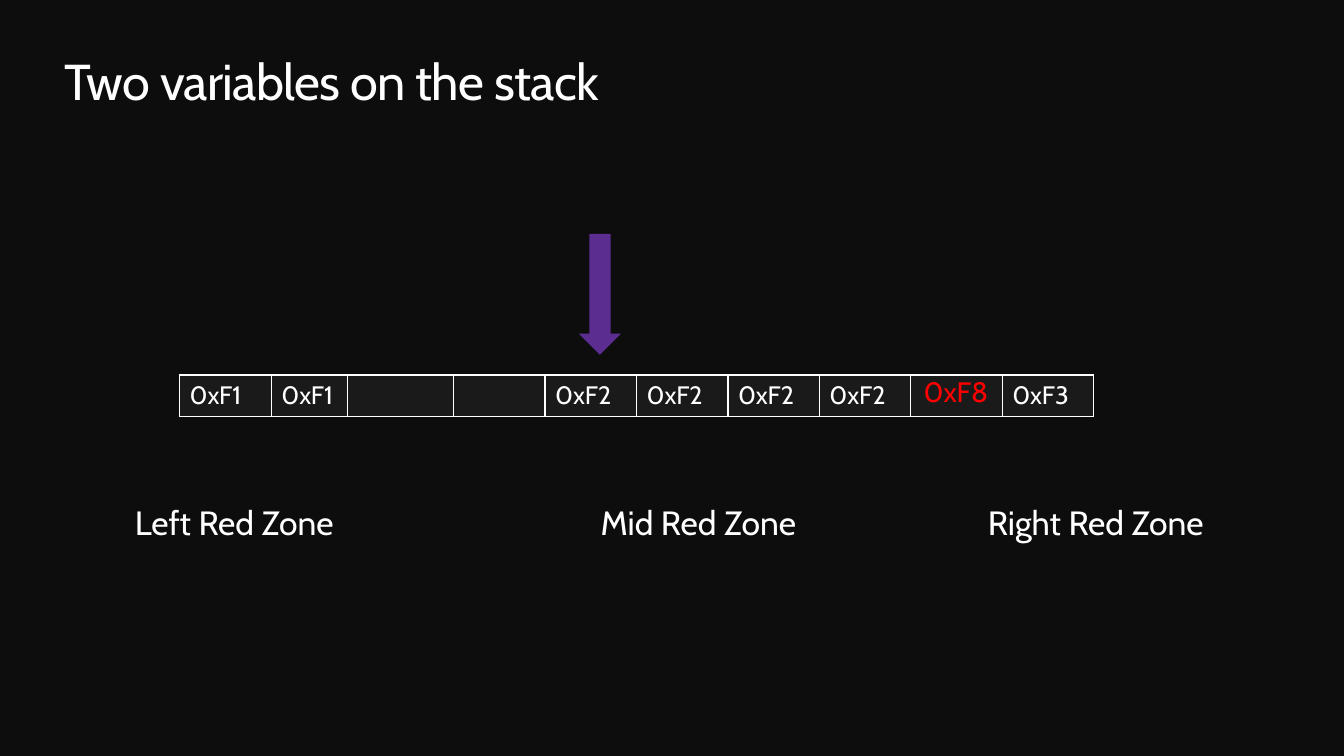
from dataclasses import dataclass

from lxml.etree import SubElement
from pptx import Presentation
from pptx.dml.color import RGBColor as Color
from pptx.enum.shapes import MSO_SHAPE as Preset
from pptx.enum.text import MSO_AUTO_SIZE as AutoSize
from pptx.oxml.ns import qn
from pptx.util import Inches, Pt


@dataclass(frozen=True)
class Theme:
    font: str = "Cabin"
    background: str = "0D0D0D"
    cell: str = "1A1A1A"
    text: str = "FFFFFF"
    alert: str = "FF0000"
    arrow: str = "5C2D91"
    title_size: int = 36
    label_size: int = 24
    alert_size: int = 20
    cell_size: int = 18


def paint(fill, color):
    fill.solid()
    fill.fore_color.rgb = Color.from_string(color)


def write(frame, text, *, font, size, color, spacing=None):
    span = frame.paragraphs[0].add_run()
    span.text = text
    span.font.name = font
    span.font.size = Pt(size)
    span.font.color.rgb = Color.from_string(color)
    if spacing is not None:
        span.font._element.set("spc", str(round(spacing * 100)))


class StackSlide:
    def __init__(self, deck, theme):
        self.theme = theme
        self.page = deck.slides.add_slide(deck.slide_layouts[6])
        paint(self.page.background.fill, theme.background)

    def text(self, text, left, top, width, height, *, size, color=None, padded=True, spacing=None):
        box = self.page.shapes.add_textbox(Inches(left), Inches(top), Inches(width), Inches(height))
        frame = box.text_frame
        frame.word_wrap = True
        frame.auto_size = AutoSize.SHAPE_TO_FIT_TEXT
        if not padded:
            frame.margin_left = frame.margin_right = 0
            frame.margin_top = frame.margin_bottom = 0
        write(frame, text, font=self.theme.font, size=size,
              color=color or self.theme.text, spacing=spacing)

    def arrow(self, left, top, width, height):
        shape = self.page.shapes.add_shape(
            Preset.DOWN_ARROW, Inches(left), Inches(top), Inches(width), Inches(height))
        shape.shadow.inherit = False
        paint(shape.fill, self.theme.arrow)
        shape.line.fill.background()

    def border(self, cell):
        properties = cell._tc.get_or_add_tcPr()
        for side in ("lnL", "lnR", "lnT", "lnB"):
            line = SubElement(properties, qn(f"a:{side}"), w=str(Pt(1)))
            solid = SubElement(line, qn("a:solidFill"))
            SubElement(solid, qn("a:srgbClr"), val=self.theme.text)

    def memory(self, values, widths, left, top, height):
        table = self.page.shapes.add_table(
            1, len(values), Inches(left), Inches(top), Inches(sum(widths)), Inches(height)).table
        table.first_row = table.horz_banding = False
        for column, width in zip(table.columns, widths):
            column.width = Inches(width)
        for cell, value in zip(table.rows[0].cells, values):
            self.border(cell)
            paint(cell.fill, self.theme.cell)
            if value:
                write(cell.text_frame, value, font=self.theme.font,
                      size=self.theme.cell_size, color=self.theme.text)


def main():
    deck = Presentation()
    deck.slide_width, deck.slide_height = Inches(13.33), Inches(7.5)
    theme = Theme()
    slide = StackSlide(deck, theme)

    values = ["0xF1"] * 2 + [""] * 2 + ["0xF2"] * 4 + ["", "0xF3"]
    widths = [0.91, 0.76, 1.05] + [0.907] * 7
    slide.memory(values, widths, 1.78, 3.72, 0.41)

    zones = [("Left", 1.24, 2.36), ("Right", 9.7, 2.66), ("Mid", 5.86, 2.36)]
    for side, left, width in zones:
        slide.text(f"{side} Red Zone", left, 4.93, width, 0.5, size=theme.label_size)

    slide.text("Two variables on the stack", 0.64, 0.5, 12.05, 0.61,
               size=theme.title_size, padded=False, spacing=-0.5)
    slide.arrow(5.74, 2.32, 0.42, 1.2)
    slide.text("0xF8", 9.16, 3.72, 0.66, 0.34,
               size=theme.alert_size, color=theme.alert, padded=False)
    deck.save("out.pptx")


if __name__ == "__main__":
    main()
